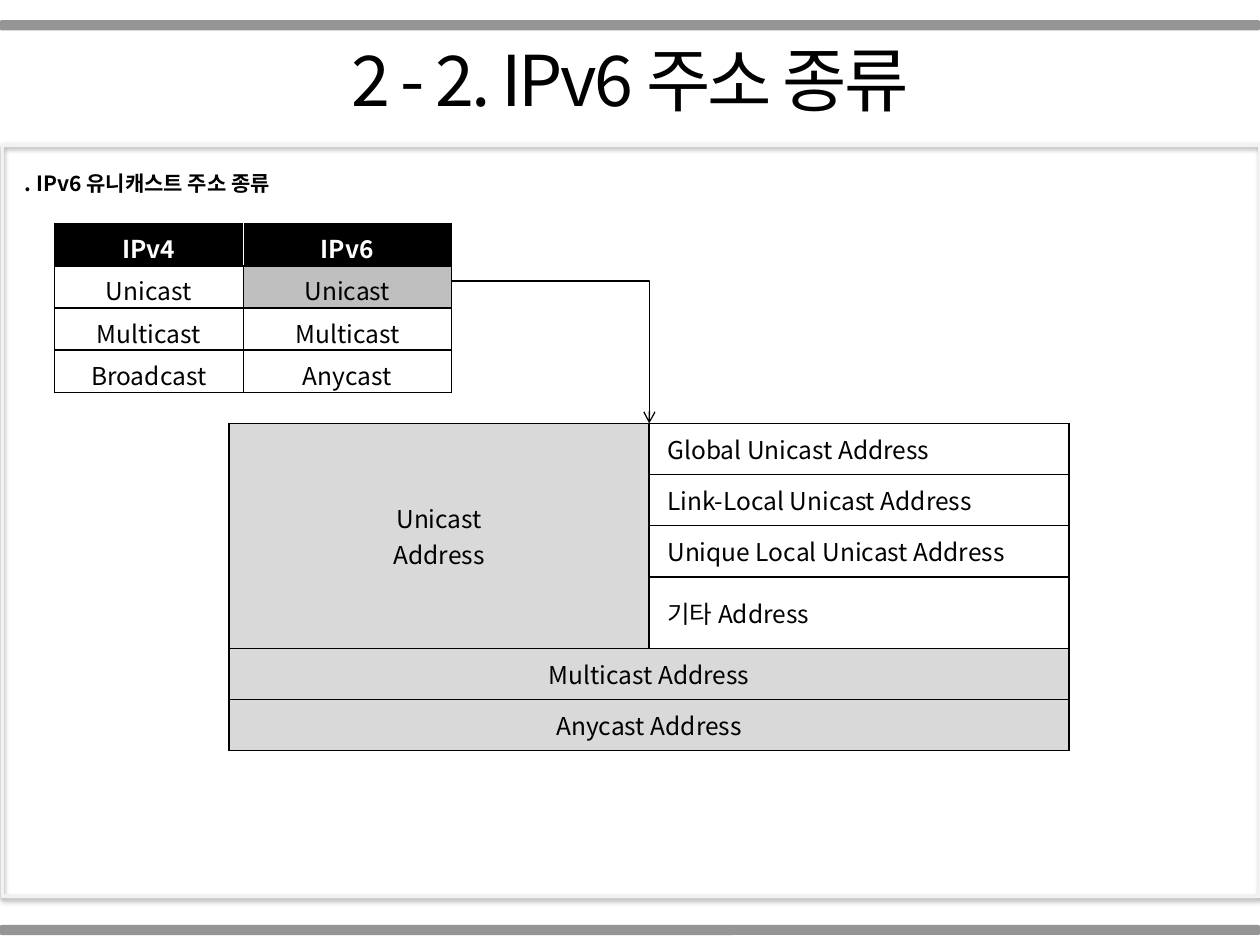
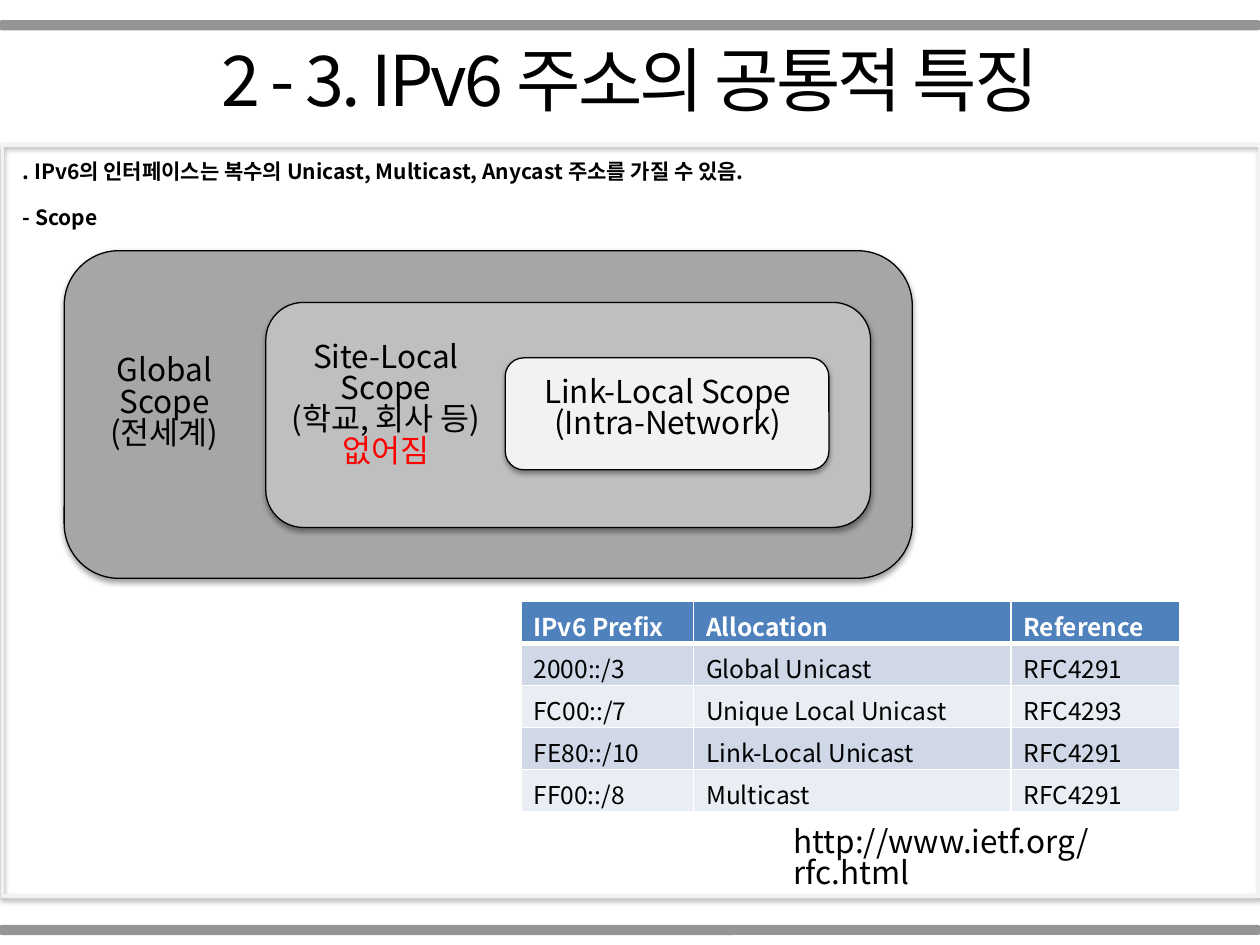
from lxml import etree
from pptx import Presentation
from pptx.dml.color import RGBColor
from pptx.enum.shapes import MSO_CONNECTOR as CONNECTOR, MSO_SHAPE as SHAPE
from pptx.enum.text import MSO_ANCHOR as ANCHOR, MSO_AUTO_SIZE as AUTO_SIZE, PP_ALIGN as ALIGN
from pptx.oxml.ns import qn
from pptx.util import Pt

COLORS = {
    "black": "000000", "white": "FFFFFF", "red": "FF0000",
    "band": "808080", "panel": "F2F2F2", "cell": "D9D9D9",
    "global": "A6A6A6", "site": "BFBFBF", "link": "F2F2F2",
    "header": "4F81BD", "odd": "D0D8E8", "even": "E9EDF4",
}
WIDTH, HEIGHT = 720, 540


def color(name):
    return RGBColor.from_string(COLORS[name])


def add_xml(parent, tag, **attributes):
    return etree.SubElement(parent, qn(tag), attributes)


class Deck:
    font = "Noto Sans CJK KR"
    leading = 0.83

    def __init__(self):
        self.deck = Presentation()
        self.deck.slide_width, self.deck.slide_height = Pt(WIDTH), Pt(HEIGHT)
        self.page = None

    def add_page(self, title):
        """Start a page with its title, two bands and content panel."""
        self.page = self.deck.slides.add_slide(self.deck.slide_layouts[5])
        heading = self.page.shapes.title
        heading.left, heading.top = Pt(0), Pt(21.6)
        heading.width, heading.height = Pt(WIDTH), Pt(55.4)
        self.fill_text(heading, [title], 40, align=ALIGN.CENTER, spacing=-150)
        for top in (11.5, 528.5):
            band = self.shape(SHAPE.ROUNDED_RECTANGLE, 0, top, WIDTH, 5.8, "band")
            fill = band.fill._xPr.find(qn("a:solidFill"))
            add_xml(fill[0], "a:alpha", val="83000")
        self.shape(SHAPE.RECTANGLE, 1.4, 82.8, 718.6, 429.1,
                   line="panel", weight=2, shadow=True)

    def style(self, para, size, ink="black", bold=False, align=ALIGN.LEFT, spacing=0):
        para.alignment = align
        for span in para.runs:
            span.font.size, span.font.bold = Pt(size), bold
            span.font.name = self.font
            span.font.color.rgb = color(ink)
            properties = span._r.get_or_add_rPr()
            add_xml(properties, "a:ea", typeface=self.font)
            if spacing:
                properties.set("spc", str(spacing))

    def fill_text(self, box, lines, size, **style):
        frame = box.text_frame
        frame.text = "\n".join(lines)
        frame.word_wrap, frame.auto_size = True, AUTO_SIZE.NONE
        frame.vertical_anchor = ANCHOR.TOP
        # The tight leading lifts the first line; the margin puts it back
        frame.margin_top = Pt(3.6 + 0.09 * size)
        for para in frame.paragraphs:
            para.line_spacing = self.leading
            self.style(para, size, **style)

    def text(self, left, top, width, height, lines, size, **style):
        box = self.page.shapes.add_textbox(Pt(left), Pt(top), Pt(width), Pt(height))
        self.fill_text(box, lines, size, **style)
        return box.text_frame.paragraphs

    def shape(self, kind, left, top, width, height, fill=None, line=None,
              weight=0.75, shadow=False):
        box = self.page.shapes.add_shape(kind, Pt(left), Pt(top), Pt(width), Pt(height))
        if fill:
            box.fill.solid()
            box.fill.fore_color.rgb = color(fill)
        else:
            box.fill.background()
        if line:
            box.line.color.rgb, box.line.width = color(line), Pt(weight)
        else:
            box.line.fill.background()
        box.shadow.inherit = False
        if shadow:
            effects = box._element.spPr.find(qn("a:effectLst"))
            outer = add_xml(effects, "a:outerShdw", blurRad=str(Pt(3.1)),
                            dist=str(Pt(1.6)), dir="5400000", rotWithShape="0")
            tint = add_xml(outer, "a:srgbClr", val=COLORS["black"])
            add_xml(tint, "a:alpha", val="38000")
        return box

    def elbow_arrow(self, start, end):
        """Run across to the end's column, then down to it."""
        points = [Pt(value) for value in (*start, *end)]
        arrow = self.page.shapes.add_connector(CONNECTOR.ELBOW, *points)
        arrow.line.color.rgb, arrow.line.width = color("black"), Pt(0.75)
        properties = arrow._element.spPr
        guides = properties.find(qn("a:prstGeom")).get_or_add_avLst()
        add_xml(guides, "a:gd", name="adj1", fmla="val 100100")
        add_xml(arrow.line._get_or_add_ln(), "a:tailEnd", type="arrow")
        add_xml(properties, "a:effectLst")

    def table(self, left, top, columns, rows):
        frame = self.page.shapes.add_table(len(rows), len(columns), Pt(left), Pt(top),
                                           Pt(sum(columns)), Pt(sum(rows)))
        grid = frame.table
        grid.first_row = grid.horz_banding = False
        for column, width in zip(grid.columns, columns):
            column.width = Pt(width)
        for row, height in zip(grid.rows, rows):
            row.height = Pt(height)
        return grid

    def cell(self, cell, words="", fill=None, borders=None, anchor=ANCHOR.TOP,
             margins=(7.2, 3.6), **style):
        """borders maps each of the sides L, R, T, B to a colour and a weight."""
        cell.text = words
        cell.vertical_anchor = anchor
        cell.margin_left, cell.margin_top = map(Pt, margins)
        cell.margin_bottom = Pt(0)
        for para in cell.text_frame.paragraphs:
            self.style(para, 14, **style)
        properties = cell._tc.get_or_add_tcPr()
        for side, (ink, weight) in borders.items():
            edge = add_xml(properties, "a:ln" + side, w=str(Pt(weight)))
            add_xml(add_xml(edge, "a:solidFill"), "a:srgbClr", val=COLORS[ink])
        if fill:
            cell.fill.solid()
            cell.fill.fore_color.rgb = color(fill)
        else:
            cell.fill.background()


show = Deck()
black_edges = dict.fromkeys("LRTB", ("black", 1))
white_edges = dict.fromkeys("LRTB", ("white", 1))

# Page 1: address types
show.add_page("2 - 2. IPv6 주소 종류")
show.text(7.2, 95, 712, 21.6, [". IPv6 유니캐스트 주소 종류"], 12, bold=True)

# IPv4 and IPv6 side by side
versions = [("IPv4", "IPv6"), ("Unicast", "Unicast"),
            ("Multicast", "Multicast"), ("Broadcast", "Anycast")]
grid = show.table(31, 128, [108, 119], [24] * len(versions))
for r, row in enumerate(versions):
    for c, words in enumerate(row):
        if r == 0:
            inner = "L" if c else "R"
            show.cell(grid.cell(r, c), words, "black",
                      {**black_edges, inner: ("white", 1)},
                      ink="white", bold=True, align=ALIGN.CENTER)
        else:
            show.cell(grid.cell(r, c), words, "site" if (r, c) == (1, 1) else None,
                      black_edges, align=ALIGN.CENTER)

# Address families
unicast = ["Global Unicast Address", "Link-Local Unicast Address",
           "Unique Local Unicast Address", "기타 Address"]
families = ["Multicast Address", "Anycast Address"]
grid = show.table(131, 242, [240, 240], [29.2, 29.2, 29.2, 40.6, 29.2, 29.2])
grid.cell(0, 0).merge(grid.cell(3, 0))
middle = dict(borders=black_edges, anchor=ANCHOR.MIDDLE)
for r, words in enumerate(unicast):
    show.cell(grid.cell(r, 0), "" if r else "Unicast\nAddress", "cell",
              margins=(7.2, 0), align=ALIGN.CENTER, **middle)
    show.cell(grid.cell(r, 1), words, margins=(10.4, 0), **middle)
for r, words in enumerate(families, len(unicast)):
    grid.cell(r, 0).merge(grid.cell(r, 1))
    for c in range(2):
        show.cell(grid.cell(r, c), "" if c else words, "cell",
                  margins=(7.2, 0), align=ALIGN.CENTER, **middle)

show.elbow_arrow((258.5, 160.6), (371, 242))

# Page 2: common traits
show.add_page("2 - 3. IPv6 주소의 공통적 특징")
notes = show.text(5.8, 88.6, 716, 51, [
    ". IPv6의 인터페이스는 복수의 Unicast, Multicast, Anycast 주소를 가질 수 있음.",
    "- Scope"], 12, bold=True)
notes[1].space_before = Pt(14.3)

# Nested scopes
for area, fill in [((36.7, 143.3, 484.6, 187.2), "global"),
                   ((151.9, 172.8, 345.6, 128.6), "site"),
                   ((288.7, 204.5, 185, 64), "link")]:
    show.shape(SHAPE.ROUNDED_RECTANGLE, *area, fill, "black", shadow=True)
show.text(54, 198.7, 80, 73, ["Global", "Scope", "(전세계)"], 18, align=ALIGN.CENTER)
site = show.text(154, 190.8, 133.2, 94.3,
                 ["Site-Local", "Scope", "(학교, 회사 등)", "없어짐"],
                 18, align=ALIGN.CENTER)
site[-1].runs[0].font.color.rgb = color("red")
show.text(302.4, 211, 158.4, 51, ["Link-Local Scope", "(Intra-Network)"],
          18, align=ALIGN.CENTER)

# Prefix allocations
prefixes = [("IPv6 Prefix", "Allocation", "Reference"),
            ("2000::/3", "Global Unicast", "RFC4291"),
            ("FC00::/7", "Unique Local Unicast", "RFC4293"),
            ("FE80::/10", "Link-Local Unicast", "RFC4291"),
            ("FF00::/8", "Multicast", "RFC4291")]
grid = show.table(297.7, 343.6, [98.6, 181.4, 96.5], [24] * len(prefixes))
for r, row in enumerate(prefixes):
    for c, words in enumerate(row):
        if r == 0:
            show.cell(grid.cell(r, c), words, "header",
                      {**white_edges, "B": ("white", 3)}, ink="white", bold=True)
        else:
            edges = {**white_edges, "T": ("white", 3 if r == 1 else 1)}
            show.cell(grid.cell(r, c), words, "odd" if r % 2 else "even",
                      edges, anchor=ANCHOR.MIDDLE)

show.text(446.4, 468, 237, 29, ["http://www.ietf.org/rfc.html"], 18)

show.deck.save("out.pptx")
